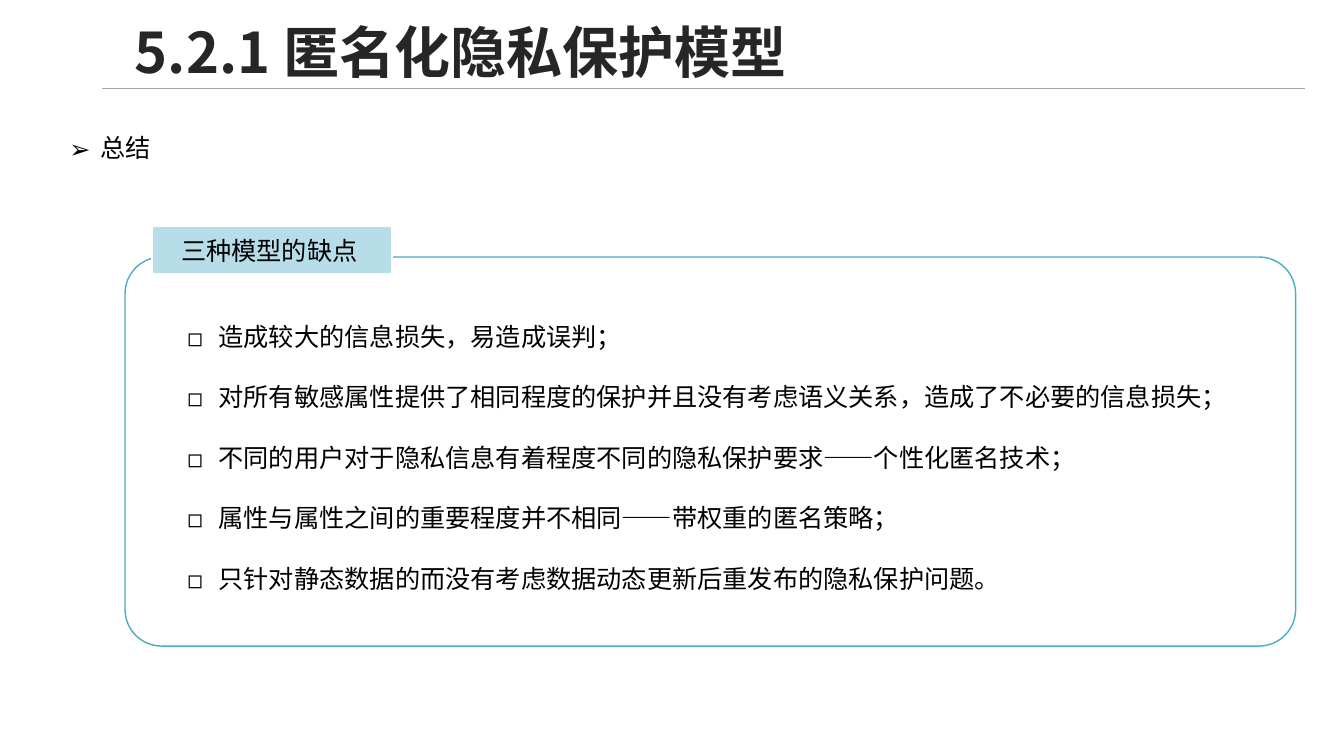
from dataclasses import dataclass

from lxml import etree
from pptx import Presentation
from pptx import util as u
from pptx.dml.color import RGBColor
from pptx.enum import shapes, text
from pptx.oxml.ns import qn


@dataclass(frozen=True)
class Theme:
    font: str = "Noto Sans CJK SC"
    title_size: float = 40
    body_size: float = 18
    line_pitch: float = 21.6
    title: str = "262626"
    body: str = "000000"
    rule: str = "A6A6A6"
    accent: str = "4BACC6"
    tag: str = "B7DEE8"
    paper: str = "FFFFFF"


THEME = Theme()
WIDTH, HEIGHT = 13.33, 7.5
INDENT = 0.31
DRAWBACKS = [
    "造成较大的信息损失，易造成误判；",
    "对所有敏感属性提供了相同程度的保护并且没有考虑语义关系，造成了不必要的信息损失；",
    "不同的用户对于隐私信息有着程度不同的隐私保护要求——个性化匿名技术；",
    "属性与属性之间的重要程度并不相同——带权重的匿名策略；",
    "只针对静态数据的而没有考虑数据动态更新后重发布的隐私保护问题。",
]


def inches(*lengths):
    return [u.Inches(length) for length in lengths]


def color(value):
    return RGBColor.from_string(value)


def style(paragraph, size, ink, bold=False):
    for run in paragraph.runs:
        run.font.name = THEME.font
        run.font.size = u.Pt(size)
        run.font.bold = bold
        run.font.color.rgb = color(ink)
        east_asian = etree.SubElement(run.font._element, qn("a:ea"))
        east_asian.set("typeface", THEME.font)


def add_bullet(paragraph, mark):
    properties = paragraph._p.get_or_add_pPr()
    properties.set("marL", str(u.Inches(INDENT)))
    properties.set("indent", str(-u.Inches(INDENT)))
    etree.SubElement(properties, qn("a:buFont")).set("typeface", THEME.font)
    etree.SubElement(properties, qn("a:buChar")).set("char", mark)


def add_text(slide, box, content):
    frame = slide.shapes.add_textbox(*inches(*box)).text_frame
    frame.word_wrap = True
    frame.vertical_anchor = text.MSO_ANCHOR.MIDDLE
    frame.text = content
    return frame


def add_block(slide, kind, box, fill, line, weight):
    block = slide.shapes.add_shape(kind, *inches(*box))
    block.shadow.inherit = False
    block.fill.solid()
    block.fill.fore_color.rgb = color(fill)
    block.line.color.rgb = color(line)
    block.line.width = u.Pt(weight)
    return block


def add_heading(slide, box):
    left, top, width, height = box
    rule_y = top + height - 0.06
    rule = slide.shapes.add_connector(
        shapes.MSO_CONNECTOR.STRAIGHT,
        *inches(left - 0.23, rule_y, left + width + 0.09, rule_y))
    rule.line.color.rgb = color(THEME.rule)
    rule.line.width = u.Pt(1)
    etree.SubElement(rule._element.spPr, qn("a:effectLst"))
    title = add_text(slide, box, "5.2.1 匿名化隐私保护模型").paragraphs[0]
    title.line_spacing = 0.9
    style(title, THEME.title_size, THEME.title, bold=True)


def add_topic(slide, box):
    topic = add_text(slide, box, "总结").paragraphs[0]
    add_bullet(topic, "➢")
    style(topic, THEME.body_size, THEME.body)


def add_drawbacks(slide, box):
    left, top, width, height = box
    panel = add_block(slide, shapes.MSO_SHAPE.ROUNDED_RECTANGLE, box,
                      THEME.paper, THEME.accent, 1)
    panel.adjustments[0] = 0.094

    list_box = (left + 0.52, top + 0.57, width - 0.27, height - 1.03)
    drawbacks = add_text(slide, list_box, "\n".join(DRAWBACKS))
    for index, drawback in enumerate(drawbacks.paragraphs):
        drawback.line_spacing = u.Pt(THEME.line_pitch)
        drawback.space_before = u.Pt(THEME.line_pitch if index else 0)
        add_bullet(drawback, "◻")
        style(drawback, THEME.body_size, THEME.body)

    tag = add_block(slide, shapes.MSO_SHAPE.RECTANGLE,
                    (left + 0.27, top - 0.31, 2.38, 0.48),
                    THEME.tag, THEME.paper, 1.5)
    tag.text_frame.text = "三种模型的缺点 "
    tag.text_frame.vertical_anchor = text.MSO_ANCHOR.MIDDLE
    label = tag.text_frame.paragraphs[0]
    label.alignment = text.PP_ALIGN.CENTER
    style(label, THEME.body_size, THEME.body)


def main():
    deck = Presentation()
    deck.slide_width, deck.slide_height = inches(WIDTH, HEIGHT)
    slide = deck.slides.add_slide(deck.slide_layouts[6])
    left, width = 1.24, 11.61
    add_heading(slide, (left, 0.15, width, 0.79))
    add_drawbacks(slide, (left, 2.55, width, 3.86))
    add_topic(slide, (0.59, 1.26, 8.33, 0.4))
    deck.save("out.pptx")


if __name__ == "__main__":
    main()
